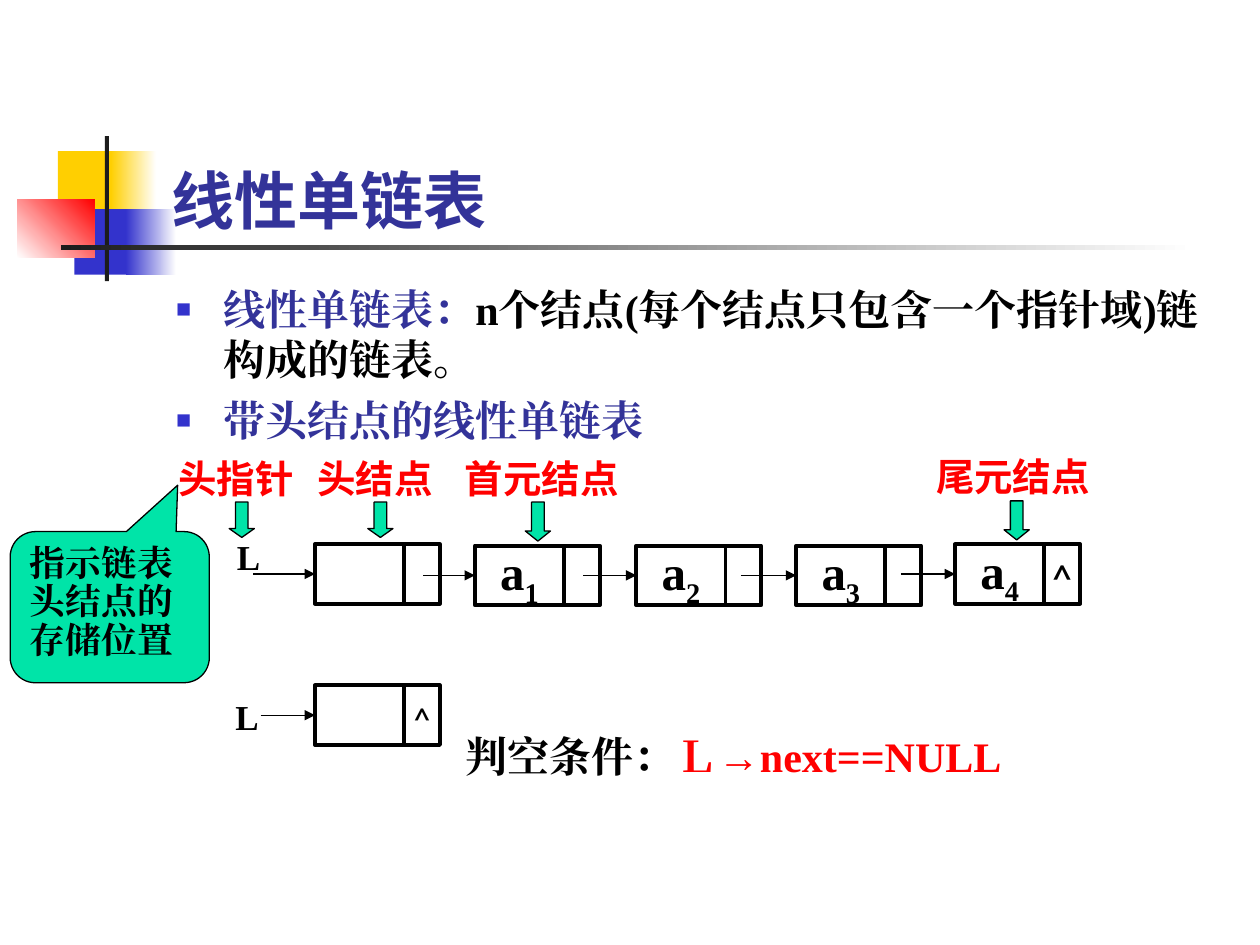
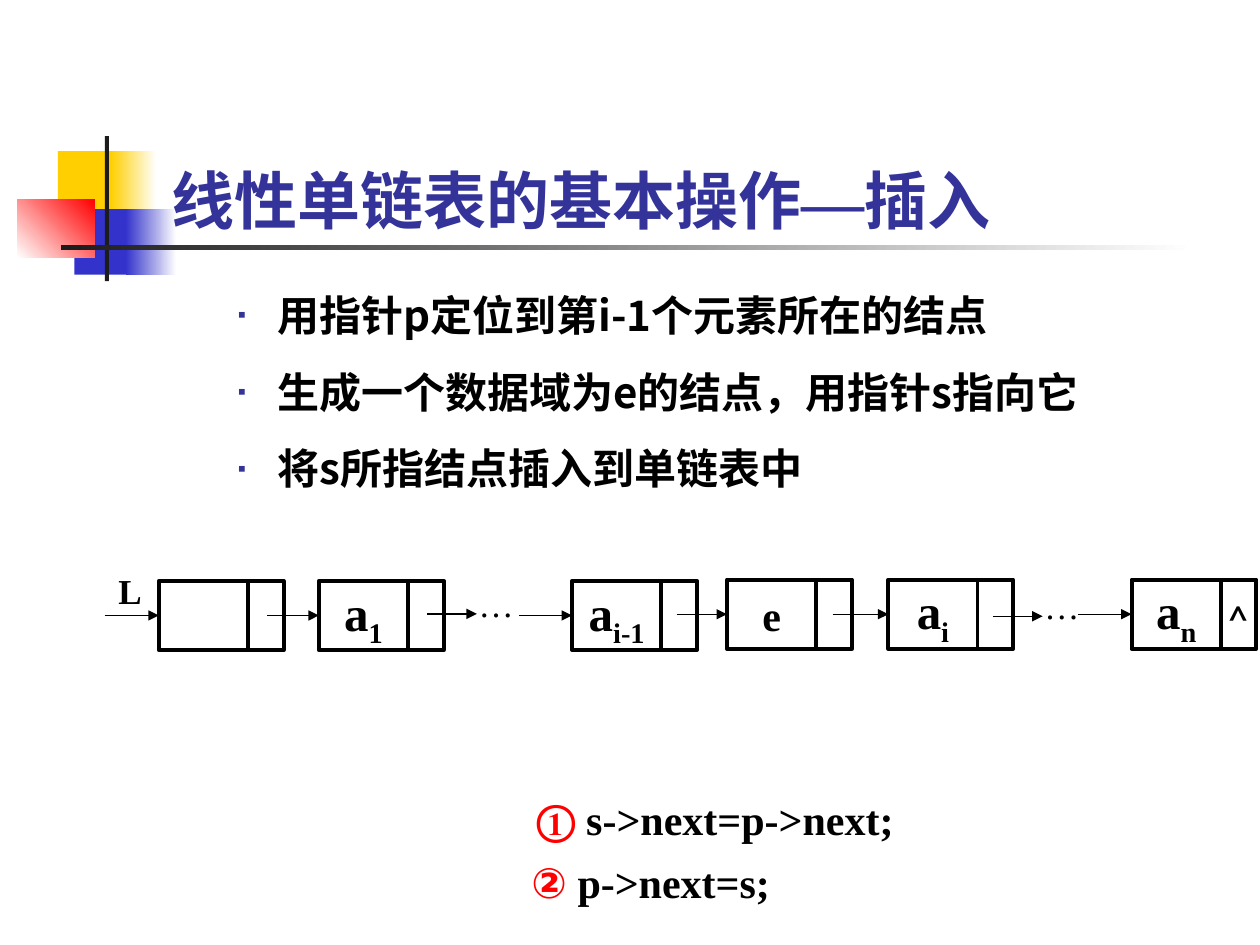
from dataclasses import dataclass
from typing import Any, Optional

from lxml.etree import SubElement
from pptx import Presentation
from pptx.dml.color import RGBColor
from pptx.enum.shapes import MSO_CONNECTOR, MSO_SHAPE
from pptx.enum.text import MSO_ANCHOR, MSO_AUTO_SIZE, PP_ALIGN
from pptx.oxml.ns import qn
from pptx.util import Pt


@dataclass(frozen=True)
class Theme:
    heading: str = "333399"
    ink: str = "000000"
    accent: str = "FF0000"
    mint: str = "00E4A8"
    yellow: str = "FFCF01"
    blue: str = "3333CC"
    bar: str = "1C1C1C"
    white: str = "FFFFFF"
    serif: str = "Times New Roman"
    sans: str = "Karla"
    cjk: str = "Noto Sans CJK SC"
    symbol: str = "Arial"
    title_size: float = 36
    value_size: float = 28
    body_size: float = 24
    label_size: float = 22
    callout_size: float = 20.4
    small_size: float = 20
    border: float = 2.25
    hairline: float = 0.75


THEME = Theme()


@dataclass(frozen=True)
class Box:
    left: float
    top: float
    width: float
    height: float

    def points(self) -> tuple:
        return Pt(self.left), Pt(self.top), Pt(self.width), Pt(self.height)


@dataclass(frozen=True)
class Span:
    text: str
    color: str = THEME.ink
    size: float = THEME.body_size
    font: str = THEME.serif
    bold: bool = True
    baseline: int = 0


@dataclass(frozen=True)
class Bullet:
    sign: str
    color: str
    percent: int
    indent: float
    hanging: float
    gap: float


@dataclass(frozen=True)
class Band:
    box: Box
    color: str
    fade_to: Optional[str] = None
    angle: float = 0


@dataclass(frozen=True)
class Node:
    left: float
    top: float
    link_start: float
    value: str = ""
    index: str = ""
    end_size: float = 0
    value_size: float = THEME.value_size


@dataclass(frozen=True)
class Marker:
    text: str
    left: float
    top: float
    arrow_left: float
    arrow_height: float
    head_ratio: float


BANDS = [
    Band(Box(33.1, 86.4, 34.6, 37.4), THEME.yellow),
    Band(Box(63.4, 86.4, 25.9, 37.4), THEME.yellow, THEME.white),
    Band(Box(42.5, 119.5, 33.1, 37.4), THEME.blue),
    Band(Box(72, 119.5, 28.8, 37.4), THEME.blue, THEME.white),
    Band(Box(9.8, 113.8, 44.2, 33.4), THEME.white, THEME.accent, 45),
    Band(Box(59.9, 77.8, 2.4, 82.8), THEME.bar),
    Band(Box(34.8, 140.2, 648, 2.6), THEME.bar, THEME.white),
]
MARKERS = [
    Marker("头指针", 95, 256.3, 131, 20.2, 0.352),
    Marker("头结点", 174.2, 256.3, 210.2, 20.2, 0.352),
    Marker("首元结点", 258.5, 256.3, 300.2, 22.3, 0.4),
    Marker("尾元结点", 527.8, 255.6, 573.8, 22.3, 0.4),
]
HEADED_LIST = [
    Node(180, 311, 144.7),
    Node(271.4, 311.8, 241.9, "a", "1"),
    Node(363.6, 311.8, 333.4, "a", "2"),
    Node(455, 311.8, 423.4, "a", "3"),
    Node(545.8, 311, 514.8, "a", "4", THEME.body_size),
]
EMPTY_LIST = [Node(180, 391.7, 149, end_size=THEME.small_size)]
INSERT_LIST = [
    Node(90.7, 331.9, 59.8),
    Node(182.2, 331.9, 152.6, "a", "1"),
    Node(326.9, 331.9, 296.6, "a", "i-1"),
    Node(415.4, 331.2, 386.6, "e", value_size=THEME.body_size),
    Node(507.6, 331.2, 475.9, "a", "i"),
    Node(646.6, 331.2, 616.3, "a", "n", THEME.body_size),
]
DATA_WIDTH, POINTER_WIDTH = 51, 20.4
SQUARE = Bullet("■", THEME.blue, 60, 27, 27, 6)
SMALL_SQUARE = Bullet("▪", THEME.heading, 55, 58.5, 22.5, 15)


def apply(target: Any, values: dict) -> None:
    for name, value in values.items():
        setattr(target, name, value)


def rgb(color: str) -> RGBColor:
    return RGBColor.from_string(color)


def add_bullet(paragraph: Any, bullet: Bullet) -> None:
    props = paragraph._p.get_or_add_pPr()
    props.set("marL", str(Pt(bullet.indent)))
    props.set("indent", str(-Pt(bullet.hanging)))
    tint = SubElement(props, qn("a:buClr"))
    SubElement(tint, qn("a:srgbClr"), val=bullet.color)
    SubElement(props, qn("a:buSzPct"), val=str(bullet.percent * 1000))
    SubElement(props, qn("a:buFont"), typeface=THEME.symbol)
    SubElement(props, qn("a:buChar"), char=bullet.sign)


def write(shape: Any, lines: list[list[Span]], wrap: bool = True,
          anchor: Any = MSO_ANCHOR.TOP, align: Any = PP_ALIGN.LEFT,
          bullet: Optional[Bullet] = None, spacing: float = 1) -> None:
    frame = shape.text_frame
    apply(frame, {
        "word_wrap": wrap, "auto_size": MSO_AUTO_SIZE.NONE, "vertical_anchor": anchor,
        "margin_left": Pt(7.2), "margin_right": Pt(7.2),
        "margin_top": Pt(3.6), "margin_bottom": Pt(3.6),
    })
    for number, spans in enumerate(lines):
        paragraph = frame.add_paragraph() if number else frame.paragraphs[0]
        if bullet:
            add_bullet(paragraph, bullet)
        gap = bullet.gap if bullet and number else 0
        apply(paragraph, {"alignment": align, "line_spacing": spacing, "space_before": Pt(gap)})
        for span in spans:
            run = paragraph.add_run()
            run.text = span.text
            apply(run.font, {"name": span.font, "size": Pt(span.size), "bold": span.bold})
            run.font.color.rgb = rgb(span.color)
            props = run._r.get_or_add_rPr()
            SubElement(props, qn("a:ea"), typeface=span.font)
            if span.baseline:
                props.set("baseline", str(span.baseline * 1000))


def add_text(slide: Any, box: Box, *lines: list[Span], wrap: bool = True,
             bullet: Optional[Bullet] = None) -> None:
    write(slide.shapes.add_textbox(*box.points()), list(lines), wrap=wrap, bullet=bullet)


def add_figure(slide: Any, kind: Any, box: Box, fill: Optional[str] = None,
               border: float = 0) -> Any:
    figure = slide.shapes.add_shape(kind, *box.points())
    figure.shadow.inherit = False
    if fill:
        figure.fill.solid()
        figure.fill.fore_color.rgb = rgb(fill)
    else:
        figure.fill.background()
    if border:
        figure.line.color.rgb = rgb(THEME.ink)
        figure.line.width = Pt(border)
    else:
        figure.line.fill.background()
    return figure


def add_band(slide: Any, band: Band) -> None:
    figure = add_figure(slide, MSO_SHAPE.RECTANGLE, band.box, band.color)
    if band.fade_to:
        figure.fill.gradient()
        figure.fill.gradient_angle = band.angle
        for stop, color in zip(figure.fill.gradient_stops, (band.color, band.fade_to)):
            stop.color.rgb = rgb(color)


def add_link(slide: Any, start: float, end: float, y: float, target: Any = None) -> None:
    link = slide.shapes.add_connector(MSO_CONNECTOR.STRAIGHT, Pt(start), Pt(y), Pt(end), Pt(y))
    if target is not None:
        link.end_connect(target, 1)
    link.line.color.rgb = rgb(THEME.ink)
    link.line.width = Pt(THEME.hairline)
    props = link.element.spPr
    SubElement(props.find(qn("a:ln")), qn("a:tailEnd"), type="triangle")
    SubElement(props, qn("a:effectLst"))


def add_node(slide: Any, node: Node, height: float) -> None:
    data_box = Box(node.left, node.top, DATA_WIDTH, height)
    pointer_box = Box(node.left + DATA_WIDTH, node.top, POINTER_WIDTH, height)
    data, pointer = (add_figure(slide, MSO_SHAPE.RECTANGLE, box, border=THEME.border)
                     for box in (data_box, pointer_box))
    centred = {"wrap": False, "anchor": MSO_ANCHOR.MIDDLE, "align": PP_ALIGN.CENTER}
    if node.value:
        spans = [Span(node.value, size=node.value_size)]
        if node.index:
            spans.append(Span(node.index, size=node.value_size, baseline=-25))
        write(data, [spans], **centred)
    if node.end_size:
        end_sign = Span("^", size=node.end_size, font=THEME.sans, bold=False)
        write(pointer, [[end_sign]], **centred)
    add_link(slide, node.link_start, node.left, node.top + height / 2, data)


def add_list(slide: Any, nodes: list[Node], height: float, head_left: float,
             head_top: float) -> None:
    for node in nodes:
        add_node(slide, node, height)
    add_text(slide, Box(head_left, head_top, 27.4, 31.7),
             [Span("L", size=THEME.small_size)], wrap=False)


def add_marker(slide: Any, marker: Marker) -> None:
    width = THEME.label_size * len(marker.text) + 20
    add_text(slide, Box(marker.left, marker.top, width, 33.8),
             [Span(marker.text, THEME.accent, THEME.label_size, THEME.sans)])
    arrow_box = Box(marker.arrow_left, marker.top + 30.6, 14.4, marker.arrow_height)
    arrow = add_figure(slide, MSO_SHAPE.DOWN_ARROW, arrow_box, THEME.mint, THEME.hairline)
    arrow.adjustments[1] = marker.head_ratio


def start_slide(deck: Any, *title_parts: tuple[str, str]) -> Any:
    slide = deck.slides.add_slide(deck.slide_layouts[5])
    for band in BANDS:
        add_band(slide, band)
    title = slide.shapes.title
    slide.shapes.element.append(title.element)
    place = Box(90.7, 49, 613.4, 90).points()
    apply(title, dict(zip(("left", "top", "width", "height"), place)))
    spans = [Span(text, THEME.heading, THEME.title_size, font) for text, font in title_parts]
    write(title, [spans], anchor=MSO_ANCHOR.BOTTOM)
    return slide


def build_definition(deck: Any) -> None:
    slide = start_slide(deck, ("线性单链表", THEME.sans))
    add_text(slide, Box(93.6, 158.4, 606.2, 324),
             [Span("线性单链表：", THEME.heading),
              Span("n个结点(每个结点只包含一个指针域)链构成的链表。")],
             [Span("带头结点的线性单链表", THEME.heading)], bullet=SQUARE)
    add_list(slide, HEADED_LIST, 34, 128.2, 302.4)
    add_list(slide, EMPTY_LIST, 34, 127.4, 393.8)
    add_text(slide, Box(259.2, 414, 326.2, 36),
             [Span("判空条件："), Span("Ｌ", THEME.accent),
              Span("→", THEME.accent, font=THEME.symbol),
              Span("next==NULL", THEME.accent)], wrap=False)
    callout = add_figure(slide, MSO_SHAPE.ROUNDED_RECTANGULAR_CALLOUT,
                         Box(5.8, 303.8, 113.8, 86.4), THEME.mint, THEME.hairline)
    for position, ratio in enumerate((0.341, -0.807, 0.167)):
        callout.adjustments[position] = ratio
    write(callout, [[Span("指示链表头结点的存储位置", size=THEME.callout_size)]], spacing=0.9)
    for marker in MARKERS:
        add_marker(slide, marker)


def build_insertion(deck: Any) -> None:
    slide = start_slide(deck, ("线性单链表的基本操作", THEME.sans), ("—", THEME.serif),
                        ("插入", THEME.sans))
    steps = ("用指针p定位到第i-1个元素所在的结点", "生成一个数据域为e的结点，用指针s指向它",
             "将s所指结点插入到单链表中")
    add_text(slide, Box(92.9, 162, 612, 324),
             *([Span(step, font=THEME.cjk)] for step in steps), bullet=SMALL_SQUARE)
    add_list(slide, INSERT_LIST, 39.6, 60.5, 321.8)
    for link_start, ellipsis_left, y in ((244.1, 266.4, 350.8), (567.4, 589.7, 352.2)):
        add_link(slide, link_start, link_start + 28.4, y)
        add_text(slide, Box(ellipsis_left, y - 21.7, 54, 31.7),
                 [Span("…", size=THEME.small_size, bold=False)])
    add_text(slide, Box(299.5, 450, 218.2, 36),
             [Span("① ", THEME.accent), Span("s->next=p->next;")], wrap=False)
    add_text(slide, Box(296.6, 486, 275.8, 36),
             [Span("② ", THEME.accent, font=THEME.sans), Span("p->next=s;")])


def main() -> None:
    deck = Presentation()
    apply(deck, {"slide_width": Pt(720), "slide_height": Pt(540)})
    build_definition(deck)
    build_insertion(deck)
    deck.save("out.pptx")


if __name__ == "__main__":
    main()
